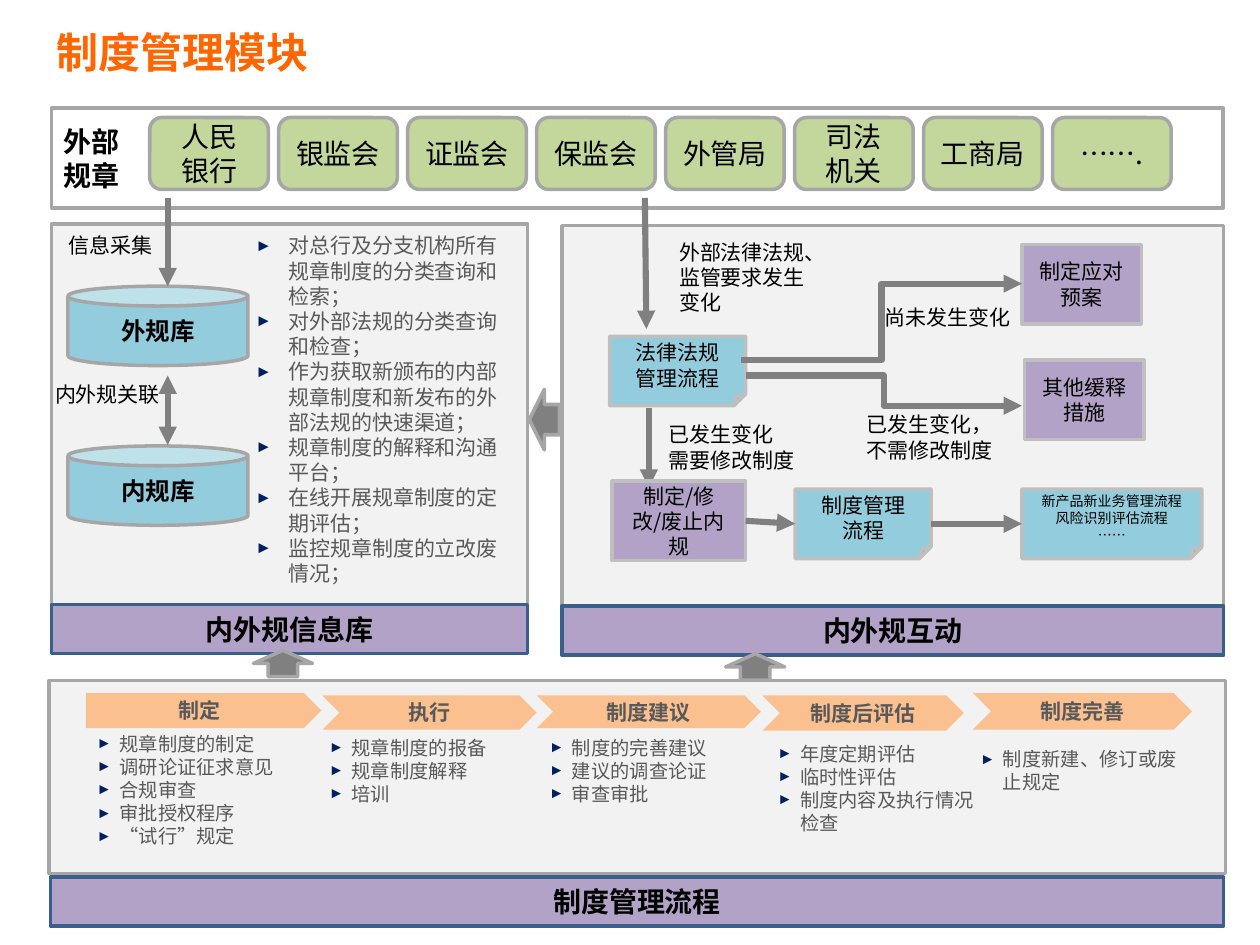
from pptx import Presentation
from pptx.dml.color import RGBColor as Rgb
from pptx.enum.shapes import MSO_CONNECTOR as Link, MSO_SHAPE as Kind
from pptx.enum.text import MSO_ANCHOR as Anchor, PP_ALIGN as Align
from pptx.oxml.ns import qn
from pptx.util import Cm, Pt
from lxml.etree import SubElement as Sub

COLORS = {
    "title": "FF6600", "text": "000000", "soft": "595959", "panel": "F2F2F2",
    "edge": "A6A6A6", "pale": "BFBFBF", "green": "C3D69B", "blue": "93CDDD",
    "violet": "B3A2C7", "navy": "3A5F8C", "peach": "FAC090", "gray": "808080",
    "mark": "002060",
}


def color(name):
    return Rgb.from_string(COLORS[name])


class Page:
    """Holds the style and the current slide."""

    font = "Noto Sans CJK SC"

    def __init__(self, deck):
        self.slide = deck.slides.add_slide(deck.slide_layouts[6])
        self.shapes = self.slide.shapes

    def fill_text(self, frame, text, size, tone, bold, align):
        frame.word_wrap = True
        frame.text = text
        for para in frame.paragraphs:
            para.alignment = align
            for run in para.runs:
                font = run.font
                font.name, font.size, font.bold = self.font, Pt(size), bold
                font.color.rgb = color(tone)
                Sub(run._r.get_or_add_rPr(), qn("a:ea"), typeface=self.font)

    def label(self, box, text, size=12, tone="text", bold=False):
        frame = self.shapes.add_textbox(*map(Cm, box)).text_frame
        self.fill_text(frame, text, size, tone, bold, Align.LEFT)
        return frame

    def bullets(self, box, items, size, indent):
        frame = self.label(box, "\n".join(items), size, "soft")
        for para in frame.paragraphs:
            props = para._p.get_or_add_pPr()
            props.set("marL", str(Cm(indent)))
            props.set("indent", str(-Cm(indent)))
            tint = Sub(props, qn("a:buClr"))
            Sub(tint, qn("a:srgbClr"), val=COLORS["mark"])
            Sub(props, qn("a:buSzPct"), val="80000")
            Sub(props, qn("a:buFont"), typeface="Arial")
            Sub(props, qn("a:buChar"), char="►")

    def shape(self, kind, box, fill=None, edge="edge", text="", size=12,
              tone="text", bold=False):
        item = self.shapes.add_shape(kind, *map(Cm, box))
        item.shadow.inherit = False
        if fill:
            item.fill.solid()
            item.fill.fore_color.rgb = color(fill)
        else:
            item.fill.background()
        if edge:
            item.line.color.rgb = color(edge)
            item.line.width = Pt(2)
        else:
            item.line.fill.background()
        if text:
            item.text_frame.vertical_anchor = Anchor.MIDDLE
            self.fill_text(item.text_frame, text, size, tone, bold, Align.CENTER)
        return item

    def banner(self, box, text):
        self.shape(Kind.RECTANGLE, box, "violet", "navy", text, 16, bold=True)

    def arrow(self, ends, kind=Link.STRAIGHT, both=False):
        item = self.shapes.add_connector(kind, *map(Cm, ends))
        item.line.color.rgb = color("gray")
        item.line.width = Pt(3.5)
        line = item.line._get_or_add_ln()
        if both:
            Sub(line, qn("a:headEnd"), type="triangle")
        Sub(line, qn("a:tailEnd"), type="triangle")
        Sub(item._element.spPr, qn("a:effectLst"))
        return item

    def join(self, start, end):
        item = self.arrow((0, 0, 1, 1))
        item.begin_connect(start, 3)
        item.end_connect(end, 1)


def main():
    deck = Presentation()
    deck.slide_width, deck.slide_height = Cm(25.4), Cm(19.05)
    page = Page(deck)

    # Title
    head = page.label((0.89, 0.36, 12.8, 1.37), "制度管理模块", 24, "title", True)
    head.vertical_anchor = Anchor.MIDDLE

    # Panels
    for box, fill in (
        ((11.33, 4.55, 13.34, 7.67), "panel"),
        ((1.04, 4.52, 9.6, 7.67), "panel"),
        ((1.04, 2.18, 23.62, 2.01), None),
        ((0.99, 13.72, 23.72, 3.89), "panel"),
    ):
        page.shape(Kind.RECTANGLE, box, fill)
    page.banner((1.04, 12.19, 9.6, 0.99), "内外规信息库")
    page.banner((11.33, 12.22, 13.34, 0.99), "内外规互动")
    page.banner((1.02, 17.68, 23.65, 0.99), "制度管理流程")

    # External rule makers
    page.label((1.04, 2.39, 2.59, 1.63), "外部\n规章", 16, bold=True)
    makers = ("人民\n银行", "银监会", "证监会", "保监会", "外管局",
              "司法\n机关", "工商局", "…….")
    for i, name in enumerate(makers):
        page.shape(Kind.ROUNDED_RECTANGLE, (3.02 + 2.6 * i, 2.37, 2.39, 1.45),
                   "green", text=name, size=16)

    # Rule stores
    for top, name in ((5.77, "外规库"), (8.99, "内规库")):
        page.shape(Kind.CAN, (1.37, top, 3.63, 1.6), "blue", text=name,
                   size=14, bold=True)
    page.arrow((3.38, 3.99, 3.38, 5.77))
    page.arrow((3.38, 7.57, 3.38, 8.97), both=True)
    page.label((1.14, 4.57, 2.46, 0.76), "信息采集")
    page.label((0.86, 7.57, 3.3, 0.76), "内外规关联")
    page.bullets((4.9, 4.57, 5.77, 7.95), (
        "对总行及分支机构所有规章制度的分类查询和检索；",
        "对外部法规的分类查询和检查；",
        "作为获取新颁布的内部规章制度和新发布的外部法规的快速渠道；",
        "规章制度的解释和沟通平台；",
        "在线开展规章制度的定期评估；",
        "监控规章制度的立改废情况；",
    ), 12, 0.66)

    # Interaction flow
    page.arrow((13.08, 8.23, 13.08, 9.83))
    page.shape(Kind.FOLDED_CORNER, (12.29, 6.78, 2.74, 1.4), "blue", "pale",
               "法律法规\n管理流程")
    edit = page.shape(Kind.RECTANGLE, (12.34, 9.7, 2.69, 1.6), "violet",
                      "pale", "制定/修改/废止内规")
    for left, top, name in ((20.65, 7.26, "其他缓释措施"),
                            (20.6, 4.93, "制定应对预案")):
        page.shape(Kind.RECTANGLE, (left, top, 2.41, 1.6), "violet", "pale", name)
    flow = page.shape(Kind.FOLDED_CORNER, (16.03, 9.86, 2.74, 1.4), "blue",
                      "pale", "制度管理\n流程")
    risk = page.shape(Kind.FOLDED_CORNER, (20.6, 9.86, 3.63, 1.4), "blue",
                      "pale", "新产品新业务管理流程\n风险识别评估流程\n……", 8)
    page.arrow((13, 3.99, 13.03, 6.63))
    page.arrow((14.94, 7.26, 20.6, 5.72), Link.ELBOW)
    page.arrow((15.04, 7.57, 20.6, 8.18), Link.ELBOW)
    page.join(edit, flow)
    page.join(flow, risk)
    for left, top, high, text in (
        (13.44, 4.7, 1.8, "外部法律法规、监管要求发生变化"),
        (13.23, 8.38, 1.3, "已发生变化\n需要修改制度"),
        (17.58, 6.02, 0.76, "尚未发生变化"),
        (17.22, 8.18, 1.3, "已发生变化，不需修改制度"),
    ):
        page.label((left, top, 3.25, high), text)

    # Process steps: name, chevron box, bullet left and top, bullets
    steps = (
        ("制定", (1.73, 13.97, 4.75, 0.71), 1.7, 14.63,
         ("规章制度的制定", "调研论证征求意见", "合规审查", "审批授权程序",
          "“试行”规定")),
        ("执行", (6.5, 14.02, 4.32, 0.69), 6.38, 14.71,
         ("规章制度的报备", "规章制度解释", "培训")),
        ("制度建议", (10.82, 14.02, 4.52, 0.66), 10.82, 14.71,
         ("制度的完善建议", "建议的调查论证", "审查审批")),
        ("制度后评估", (15.37, 14.02, 4.06, 0.71), 15.42, 14.83,
         ("年度定期评估", "临时性评估", "制度内容及执行情况检查")),
        ("制度完善", (19.61, 13.97, 4.42, 0.74), 19.51, 14.94,
         ("制度新建、修订或废止规定",)),
    )
    for i, (name, box, left, top, items) in enumerate(steps):
        kind = Kind.CHEVRON if i else Kind.PENTAGON
        page.shape(kind, box, "peach", None, name, tone="soft", bold=True)
        page.bullets((left, top, 4.62, 2.1), items, 11, 0.46)

    # Block arrows between panels
    for kind, box in (
        (Kind.UP_ARROW, (14.63, 13.18, 1.19, 0.53)),
        (Kind.UP_ARROW, (5.11, 13.11, 1.19, 0.53)),
        (Kind.LEFT_ARROW, (10.67, 7.85, 0.61, 1.22)),
    ):
        page.shape(kind, box, "gray")

    deck.save("out.pptx")


if __name__ == "__main__":
    main()
